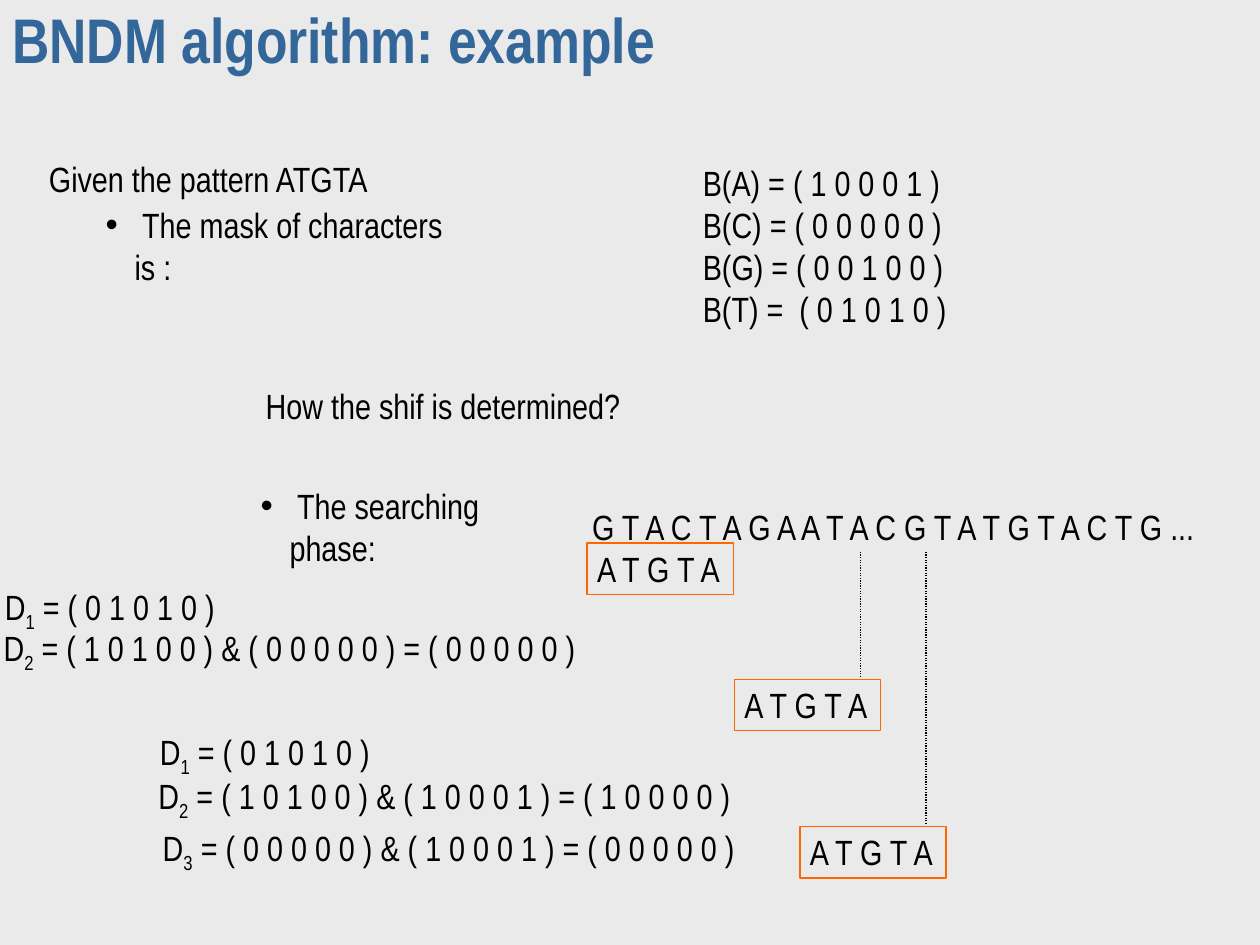
from lxml import etree
from pptx import Presentation
from pptx.dml.color import RGBColor
from pptx.enum import dml, shapes, text
from pptx.oxml.ns import qn
from pptx.util import Inches, Pt

INK, BLUE, ORANGE, BLACK, PAPER = "010000", "336699", "FF6600", "000000", "EAEAEA"
BODY = {"name": "Arial Narrow", "size": Pt(20), "bold": False}
HEADING = {"name": "Arial Narrow", "size": Pt(36), "bold": True}


def paint(target, colour):
    target.rgb = RGBColor.from_string(colour)


def add_span(para, words, style, colour):
    span = para.add_run()
    span.text = words
    for name, value in style.items():
        setattr(span.font, name, value)
    paint(span.font.color, colour)
    return span


def add_bullet(para, hang=0.23):
    properties = para._p.get_or_add_pPr()
    properties.set("marL", str(Inches(hang)))
    properties.set("indent", str(-Inches(hang)))
    colour = etree.SubElement(properties, qn("a:buClr"))
    etree.SubElement(colour, qn("a:srgbClr"), val=INK)
    etree.SubElement(properties, qn("a:buFont"), typeface="Arial")
    etree.SubElement(properties, qn("a:buChar"), char="•")


def add_frame(page, left, top, width, height, right_inset=0):
    """Add a text box; without a right inset each line keeps to one row."""
    box = page.shapes.add_textbox(*map(Inches, (left, top, width, height)))
    frame = box.text_frame
    settings = {
        "word_wrap": True,
        "auto_size": text.MSO_AUTO_SIZE.NONE,
        "vertical_anchor": text.MSO_ANCHOR.MIDDLE,
        "margin_right": Inches(right_inset),
    }
    for name, value in settings.items():
        setattr(frame, name, value)
    return frame


def add_lines(page, left, top, width, height, lines, bullet=False):
    frame = add_frame(page, left, top, width, height, 0.1 if bullet else 0)
    for index, line in enumerate(lines):
        para = frame.add_paragraph() if index else frame.paragraphs[0]
        if bullet:
            add_bullet(para)
        add_span(para, line, BODY, INK)


def add_title(page, left, top, width, height):
    para = add_frame(page, left, top, width, height).paragraphs[0]
    para.line_spacing = 0.7
    add_span(para, "BNDM algorithm: example", HEADING, BLUE)


def add_masks(page, left, top):
    add_lines(page, left, top + 0.5, 3.08, 0.44,
              [" The mask of characters is :"], bullet=True)
    add_lines(page, left + 4.74, top, 2.13, 1.44, [
        "B(A) = ( 1 0 0 0 1 )",
        "B(C) = ( 0 0 0 0 0 )",
        "B(G) = ( 0 0 1 0 0 )",
        "B(T) =  ( 0 1 0 1 0 )",
    ])


def add_window(page, left, top):
    """Place the framed pattern at one alignment with the sequence."""
    add_lines(page, left, top, 1.28, 0.44, ["A T G T A"])
    frame = page.shapes.add_shape(
        shapes.MSO_SHAPE.RECTANGLE,
        *map(Inches, (left + 0.02, top + 0.02, 1.16, 0.41)))
    frame.shadow.inherit = False
    frame.fill.background()
    paint(frame.line.color, ORANGE)
    frame.line.width = Pt(0.75)


def add_guide(page, x, top, bottom):
    guide = page.shapes.add_connector(
        shapes.MSO_CONNECTOR.STRAIGHT, *map(Inches, (x, top, x, bottom)))
    paint(guide.line.color, BLACK)
    guide.line.width = Pt(0.75)
    guide.line.dash_style = dml.MSO_LINE.ROUND_DOT
    etree.SubElement(guide._element.spPr, qn("a:effectLst"))


def add_search(page, left, top):
    add_lines(page, left, top, 2.54, 0.44, [" The searching phase:"], bullet=True)
    add_lines(page, left + 2.63, top, 5.21, 0.44,
              ["G T A C T A G A A T A C G T A T G T A C T G ..."])
    add_window(page, left + 2.67, top + 0.33)
    for x, y in ((3.84, 1.41), (4.36, 2.58)):
        add_window(page, left + x, top + y)
        add_guide(page, left + x + 1.02, top + 0.42, top + y)


def add_state(page, left, top, width, number, value, lead=""):
    """Write one state vector, D with a subscript."""
    para = add_frame(page, left, top, width, 0.48).paragraphs[0]
    add_span(para, lead + "D", BODY, INK)
    subscript = add_span(para, number, BODY, INK)
    subscript.font._element.set("baseline", "-25000")
    add_span(para, f" = {value}", BODY, INK)


def add_states(page):
    first = "( 0 1 0 1 0 )"
    add_state(page, -0.06, 4.6, 1.86, "1", first)
    add_state(page, -0.07, 4.92, 4.74, "2",
              "( 1 0 1 0 0 ) & ( 0 0 0 0 0 ) = ( 0 0 0 0 0 )")
    add_state(page, 1.17, 5.75, 1.86, "1", first)
    add_state(page, 1.16, 6.1, 4.74, "2",
              "( 1 0 1 0 0 ) & ( 1 0 0 0 1 ) = ( 1 0 0 0 0 )")
    add_state(page, 1.13, 6.51, 4.8, "3",
              "( 0 0 0 0 0 ) & ( 1 0 0 0 1 ) = ( 0 0 0 0 0 )", lead=" ")


def main():
    deck = Presentation()
    deck.slide_width, deck.slide_height = Inches(10), Inches(7.5)
    page = deck.slides.add_slide(deck.slide_layouts[6])
    page.background.fill.solid()
    paint(page.background.fill.fore_color, PAPER)
    add_title(page, 0, 0, 10, 0.75)
    add_lines(page, 0.29, 1.2, 2.84, 0.44, ["Given the pattern ATGTA"])
    add_masks(page, 0.74, 1.23)
    add_lines(page, 2.01, 3, 3.01, 0.44, ["How the shif is determined?"])
    add_search(page, 1.97, 3.96)
    add_states(page)
    deck.save("out.pptx")


if __name__ == "__main__":
    main()
